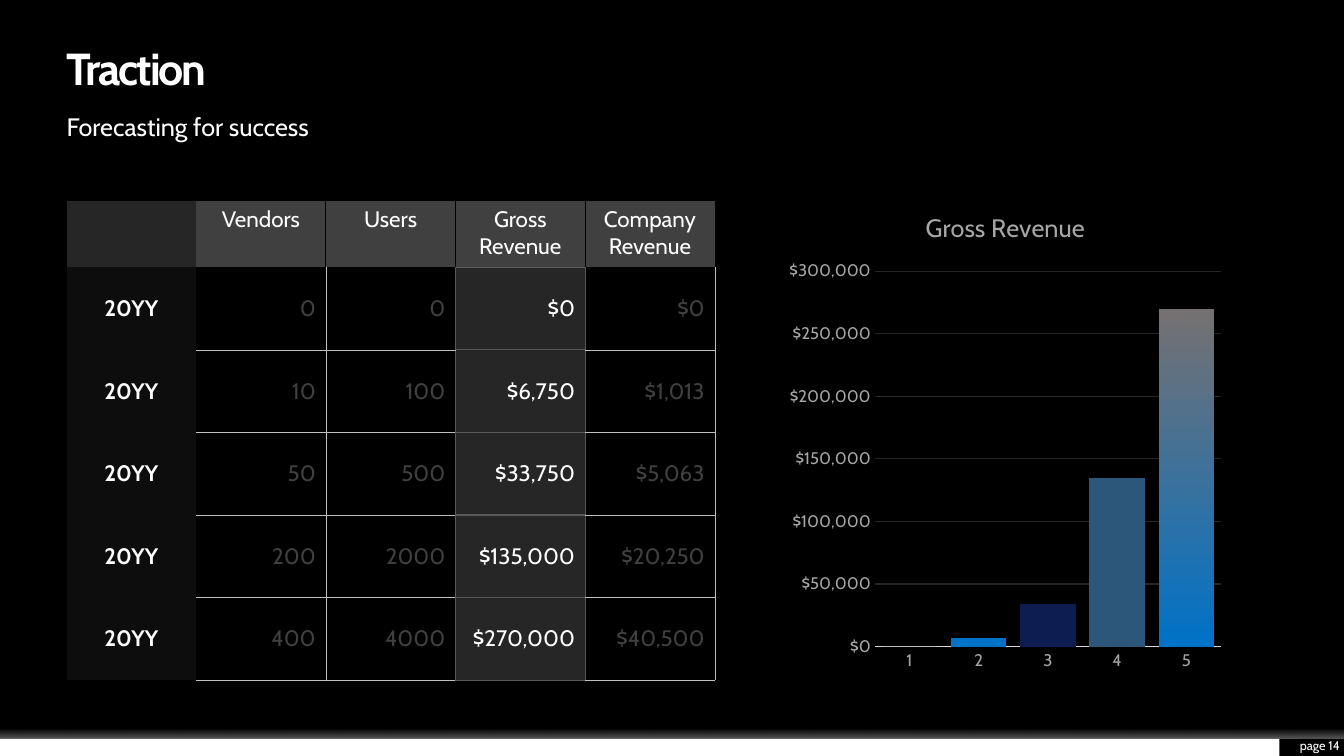
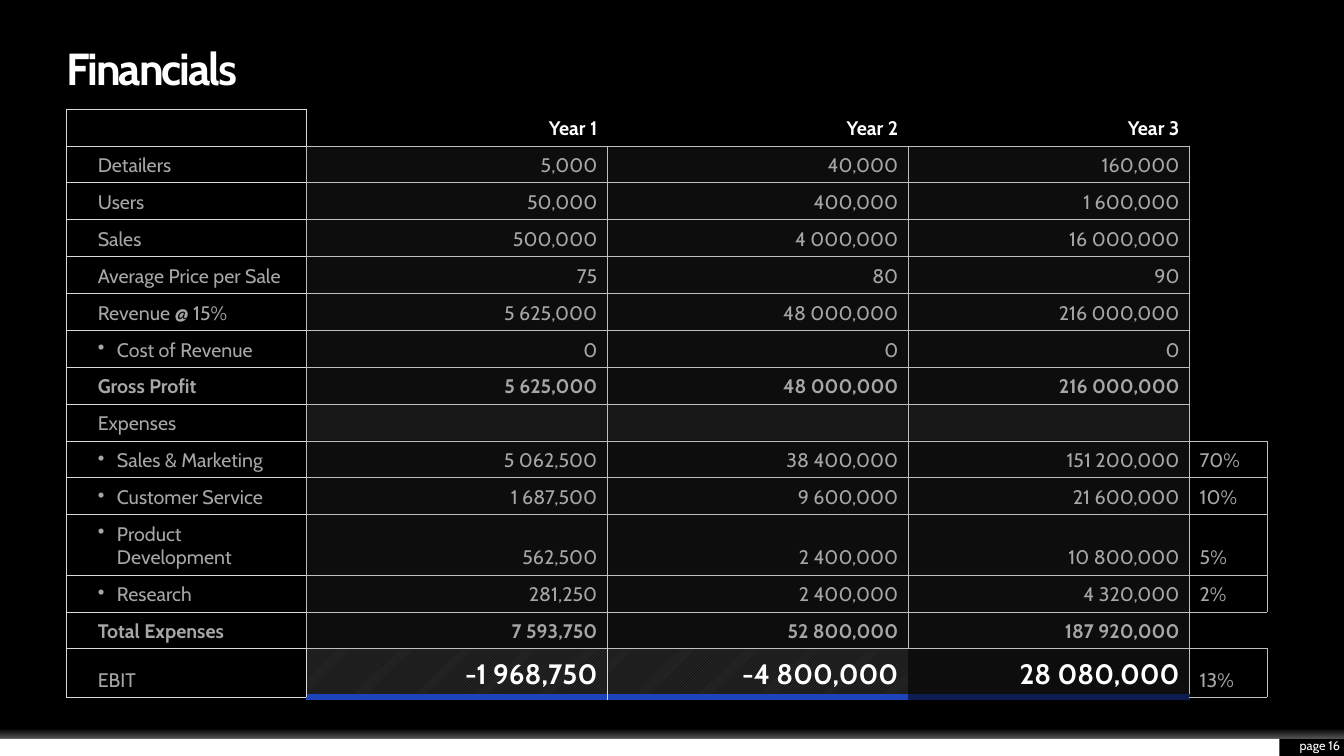
from lxml import etree
from pptx import Presentation
from pptx.chart.data import CategoryChartData
from pptx.dml.color import RGBColor
from pptx.enum.chart import XL_CHART_TYPE, XL_TICK_MARK
from pptx.enum.dml import MSO_PATTERN
from pptx.enum.shapes import MSO_SHAPE
from pptx.enum.text import MSO_ANCHOR, MSO_AUTO_SIZE, PP_ALIGN
from pptx.oxml.ns import qn
from pptx.util import Inches, Pt

FONT = "Cabin"
COLORS = {
    "black": "000000", "white": "FFFFFF", "panel": "0D0D0D", "dark": "262626",
    "slate": "404040", "edge": "595959", "muted": "A6A6A6", "rule": "BFBFBF",
    "frame": "D9D9D9", "navy": "0D1D51", "royal": "1E44BC", "sky": "0072C7",
    "steel": "2C567A", "stone": "767171",
}
NO_STYLE_TABLE = "{2D5ABB26-0587-4C30-8999-92F81FD0307C}"

# Border lines as (colour, points)
THIN = ("rule", 0.25)
FRAME = ("frame", 0.25)
HIDDEN = ("black", 0.25)
GAP = ("black", 1)
EDGE = ("edge", 1)

FORECAST_HEADS = ["", "Vendors", "Users", "Gross Revenue", "Company Revenue"]
FORECAST = [
    ["20YY", "0", "0", "$0", "$0"],
    ["20YY", "10", "100", "$6,750", "$1,013"],
    ["20YY", "50", "500", "$33,750", "$5,063"],
    ["20YY", "200", "2000", "$135,000", "$20,250"],
    ["20YY", "400", "4000", "$270,000", "$40,500"],
]
GROSS_REVENUE = [0, 7000, 34000, 135000, 270000]

# Label, three yearly values, share; a leading bullet marks a sub-item
FINANCIALS = [
    ["", "Year 1", "Year 2", "Year 3", ""],
    ["Detailers", "5,000", "40,000", "160,000", ""],
    ["Users", "50,000", "400,000", "1 600,000", ""],
    ["Sales", "500,000", "4 000,000", "16 000,000", ""],
    ["Average Price per Sale", "75", "80", "90", ""],
    ["Revenue @ 15%", "5 625,000", "48 000,000", "216 000,000", ""],
    ["•Cost of Revenue", "0", "0", "0", ""],
    ["Gross Profit", "5 625,000", "48 000,000", "216 000,000", ""],
    ["Expenses", "", "", "", ""],
    ["•Sales & Marketing", "5 062,500", "38 400,000", "151 200,000", "70%"],
    ["•Customer Service", "1 687,500", "9 600,000", "21 600,000", "10%"],
    ["•Product Development", "562,500", "2 400,000", "10 800,000", "5%"],
    ["•Research", "281,250", "2 400,000", "4 320,000", "2%"],
    ["Total Expenses", "7 593,750", "52 800,000", "187 920,000", ""],
    ["EBIT", "-1 968,750", "-4 800,000", "28 080,000", "13%"],
]
BOLD_ROWS = {"Gross Profit", "Total Expenses"}


def rgb(name):
    return RGBColor.from_string(COLORS[name])


def put_text(frame, text, size=14, color="white", bold=False, align=PP_ALIGN.LEFT,
             anchor=MSO_ANCHOR.MIDDLE, spacing=None, line=None, bullet=False):
    """Write one formatted paragraph into a text frame."""
    frame.vertical_anchor = anchor
    paragraph = frame.paragraphs[0]
    paragraph.alignment = align
    if line:
        paragraph.line_spacing = line
    if bullet:
        props = paragraph._p.get_or_add_pPr()
        props.set("marL", str(Inches(0.19)))
        props.set("indent", str(-Inches(0.19)))
        etree.SubElement(props, qn("a:buChar"), char="•")
    if not text:
        etree.SubElement(paragraph._p, qn("a:endParaRPr"), sz=str(size * 100))
        return
    run = paragraph.add_run()
    run.text = text
    font = run.font
    font.name, font.size, font.bold = FONT, Pt(size), bold
    font.color.rgb = rgb(color)
    if spacing:
        run._r.get_or_add_rPr().set("spc", str(int(spacing * 100)))


def set_box(shape, left, top, width, height):
    shape.left, shape.top = Inches(left), Inches(top)
    shape.width, shape.height = Inches(width), Inches(height)


def clear_margins(frame):
    frame.margin_left = frame.margin_right = frame.margin_top = frame.margin_bottom = 0
    frame.word_wrap = True
    frame.auto_size = MSO_AUTO_SIZE.NONE


def add_label(slide, text, box, **style):
    label = slide.shapes.add_textbox(*map(Inches, box))
    clear_margins(label.text_frame)
    put_text(label.text_frame, text, **style)


def set_alpha(color_element, percent):
    etree.SubElement(color_element, qn("a:alpha"), val=str(percent * 1000))


def fill_gradient(fill, stops):
    """Shade from top to bottom through (position, colour) stops."""
    fill.gradient()
    fill.gradient_angle = 270
    for stop, (position, color) in zip(fill.gradient_stops, stops):
        stop.position = position
        stop.color.rgb = rgb(color)


# Shared frame: footer bands, title and page number
def add_band(slide, box):
    band = slide.shapes.add_shape(MSO_SHAPE.RECTANGLE, *map(Inches, box))
    band.shadow.inherit = False
    band.line.fill.background()
    band.fill.solid()
    band.fill.fore_color.rgb = rgb("white")
    return band


def add_framed_slide(prs, title, page):
    slide = prs.slides.add_slide(prs.slide_layouts[5])
    add_band(slide, (0, 7.33, 12.69, 0.17))
    glow = add_band(slide, (0, 7.16, 13.33, 0.17))
    fill_gradient(glow.fill, [(0.4, "white"), (1, "white")])
    for color, percent in zip(glow._element.spPr.iter(qn("a:srgbClr")), (0, 35)):
        set_alpha(color, percent)

    heading = slide.shapes.title
    set_box(heading, 0.66, 0.47, 10.91, 0.47)
    clear_margins(heading.text_frame)
    put_text(heading.text_frame, title, size=32, bold=True, spacing=-1.5, line=0.9)
    add_label(slide, f"page {page}", (12.69, 7.31, 0.6, 0.17), size=9,
              align=PP_ALIGN.RIGHT)
    return slide


# Table helpers
def add_plain_table(slide, left, top, widths, heights):
    frame = slide.shapes.add_table(len(heights), len(widths), Inches(left), Inches(top),
                                   Inches(sum(widths)), Inches(sum(heights)))
    table = frame.table
    table.first_row = table.horz_banding = False
    next(frame._element.iter(qn("a:tableStyleId"))).text = NO_STYLE_TABLE
    for column, width in zip(table.columns, widths):
        column.width = Inches(width)
    for row, height in zip(table.rows, heights):
        row.height = Inches(height)
    return table


def fill_cell(cell, color=None, alpha=None):
    if not color:
        cell.fill.background()
        return
    cell.fill.solid()
    cell.fill.fore_color.rgb = rgb(color)
    if alpha:
        set_alpha(next(cell._tc.tcPr.iter(qn("a:srgbClr"))), alpha)


def set_borders(cell, **sides):
    """Draw the given sides (L, R, T, B) of a cell."""
    props = cell._tc.get_or_add_tcPr()
    drawn = [side for side in "LRTB" if sides.get(side)]
    for index, side in enumerate(drawn):
        color, points = sides[side]
        line = etree.Element(qn(f"a:ln{side}"), w=str(Pt(points)))
        solid = etree.SubElement(line, qn("a:solidFill"))
        etree.SubElement(solid, qn("a:srgbClr"), val=COLORS[color])
        props.insert(index, line)


def all_sides(line):
    return dict.fromkeys("LRTB", line)


# Traction slide
def add_forecast_table(slide, left, top):
    table = add_plain_table(slide, left, top, [1.286] * 5, [0.66] + [0.82] * 5)
    for col, head in enumerate(FORECAST_HEADS):
        cell = table.cell(0, col)
        put_text(cell.text_frame, head, size=16, align=PP_ALIGN.CENTER)
        cell.vertical_anchor = MSO_ANCHOR.TOP
        fill_cell(cell, "slate" if head else "dark")
        set_borders(cell, L=GAP if col > 1 else None, R=GAP if 0 < col < 4 else None,
                    B=EDGE if col == 3 else None)

    for row, values in enumerate(FORECAST, 1):
        for col, value in enumerate(values):
            cell = table.cell(row, col)
            cell.vertical_anchor = MSO_ANCHOR.MIDDLE
            is_year, is_gross = col == 0, col == 3
            put_text(cell.text_frame, value, size=16, bold=is_year,
                     color="white" if is_year or is_gross else "slate",
                     align=PP_ALIGN.CENTER if is_year else PP_ALIGN.RIGHT)
            fill_cell(cell, "panel" if is_year else "dark" if is_gross else None)
            if is_gross:
                set_borders(cell, **all_sides(EDGE))
            elif not is_year:
                set_borders(cell, L={2: THIN, 4: EDGE}.get(col), B=THIN,
                            R=EDGE if col == 2 else THIN, T=THIN if row > 1 else None)


def add_revenue_chart(slide, box):
    data = CategoryChartData()
    data.categories = ["1", "2", "3", "4", "5"]
    data.add_series("Series 1", GROSS_REVENUE)
    chart = slide.shapes.add_chart(XL_CHART_TYPE.COLUMN_CLUSTERED,
                                   *map(Inches, box), data).chart
    chart.has_legend = False
    chart.font.name, chart.font.size = FONT, Pt(12)
    chart.font.color.rgb = rgb("muted")
    chart.has_title = True
    put_text(chart.chart_title.text_frame, "Gross Revenue", size=18, color="muted",
             align=PP_ALIGN.CENTER)
    chart.chart_title.include_text_in_layout = False

    years, dollars = chart.category_axis, chart.value_axis
    for axis in (years, dollars):
        axis.major_tick_mark = axis.minor_tick_mark = XL_TICK_MARK.NONE
    years.format.line.color.rgb = rgb("frame")
    years.format.line.width = Pt(0.75)
    dollars.format.line.fill.background()
    dollars.minimum_scale, dollars.maximum_scale = 0, 300000
    dollars.major_unit = 50000
    dollars.tick_labels.number_format = "[$$-409]#,##0"
    dollars.tick_labels.number_format_is_linked = False
    dollars.major_gridlines.format.line.color.rgb = rgb("dark")
    dollars.major_gridlines.format.line.width = Pt(0.75)

    plot = chart.plots[0]
    plot.gap_width, plot.vary_by_categories = 25, False
    columns = plot.series[0]
    for index, color in enumerate(["navy", "sky", "navy", "steel"]):
        fill = columns.points[index].format.fill
        fill.solid()
        fill.fore_color.rgb = rgb(color)
    fill_gradient(columns.points[4].format.fill, [(0, "stone"), (1, "sky")])


def add_traction_slide(prs):
    slide = add_framed_slide(prs, "Traction", 14)
    add_label(slide, "Forecasting for success", (0.66, 1.1, 10.91, 0.28), size=18,
              anchor=MSO_ANCHOR.TOP)
    add_forecast_table(slide, 0.66, 1.99)
    add_revenue_chart(slide, (7.74, 1.89, 4.46, 4.86))


# Financials slide
def format_row_label(cell, label, is_head, is_ebit):
    cell.margin_left = Inches(0.31)
    put_text(cell.text_frame, label.lstrip("•"), color="muted", bold=label in BOLD_ROWS,
             anchor=MSO_ANCHOR.BOTTOM, bullet=label.startswith("•"))
    fill_cell(cell, "black")
    set_borders(cell, L=FRAME, T=FRAME, B=FRAME, R=FRAME if is_head or is_ebit else THIN)


def format_year_value(cell, value, col, label, is_head, is_ebit):
    put_text(cell.text_frame, value, size=20 if is_ebit else 14,
             color="white" if is_head or is_ebit else "muted",
             bold=is_head or is_ebit or label in BOLD_ROWS,
             align=PP_ALIGN.RIGHT, anchor=MSO_ANCHOR.BOTTOM)
    if is_head:
        fill_cell(cell, "black")
        set_borders(cell, L=FRAME if col == 1 else HIDDEN, T=HIDDEN, R=HIDDEN, B=THIN)
    elif is_ebit:
        if col < 3:
            cell.fill.patterned()
            cell.fill.pattern = MSO_PATTERN.DARK_UPWARD_DIAGONAL
            cell.fill.fore_color.rgb = rgb("black")
            cell.fill.back_color.rgb = rgb("dark")
        else:
            fill_cell(cell, "panel")
        set_borders(cell, L=FRAME if col == 1 else None, R=THIN if col == 3 else None,
                    T=THIN, B=("royal" if col < 3 else "navy", 4.5))
    else:
        fill_cell(cell, *(("panel",) if value else ("slate", 36)))
        set_borders(cell, **all_sides(THIN))


def format_share(cell, share, label, is_head):
    put_text(cell.text_frame, share, color="muted", anchor=MSO_ANCHOR.BOTTOM)
    fill_cell(cell)
    if share:
        set_borders(cell, **all_sides(THIN))
    else:
        set_borders(cell, L=HIDDEN if is_head else THIN,
                    T=THIN if label == "Total Expenses" else None,
                    B=THIN if label in ("Expenses", "Total Expenses") else None)


def add_financials_table(slide, left, top):
    special_heights = {"•Product Development": 0.6, "EBIT": 0.48}
    heights = [special_heights.get(row[0], 0.366) for row in FINANCIALS]
    table = add_plain_table(slide, left, top, [2.38, 2.985, 2.985, 2.79, 0.77], heights)
    for row, (label, *values, share) in enumerate(FINANCIALS):
        is_head, is_ebit = row == 0, label == "EBIT"
        for col in range(5):
            table.cell(row, col).vertical_anchor = MSO_ANCHOR.BOTTOM
        format_row_label(table.cell(row, 0), label, is_head, is_ebit)
        for col, value in enumerate(values, 1):
            format_year_value(table.cell(row, col), value, col, label, is_head, is_ebit)
        format_share(table.cell(row, 4), share, label, is_head)


def main():
    prs = Presentation()
    prs.slide_width, prs.slide_height = Inches(13.33), Inches(7.5)
    backdrop = prs.slide_master.background.fill
    backdrop.solid()
    backdrop.fore_color.rgb = rgb("black")
    add_traction_slide(prs)
    add_financials_table(add_framed_slide(prs, "Financials", 16), 0.66, 1.08)
    prs.save("out.pptx")


if __name__ == "__main__":
    main()
